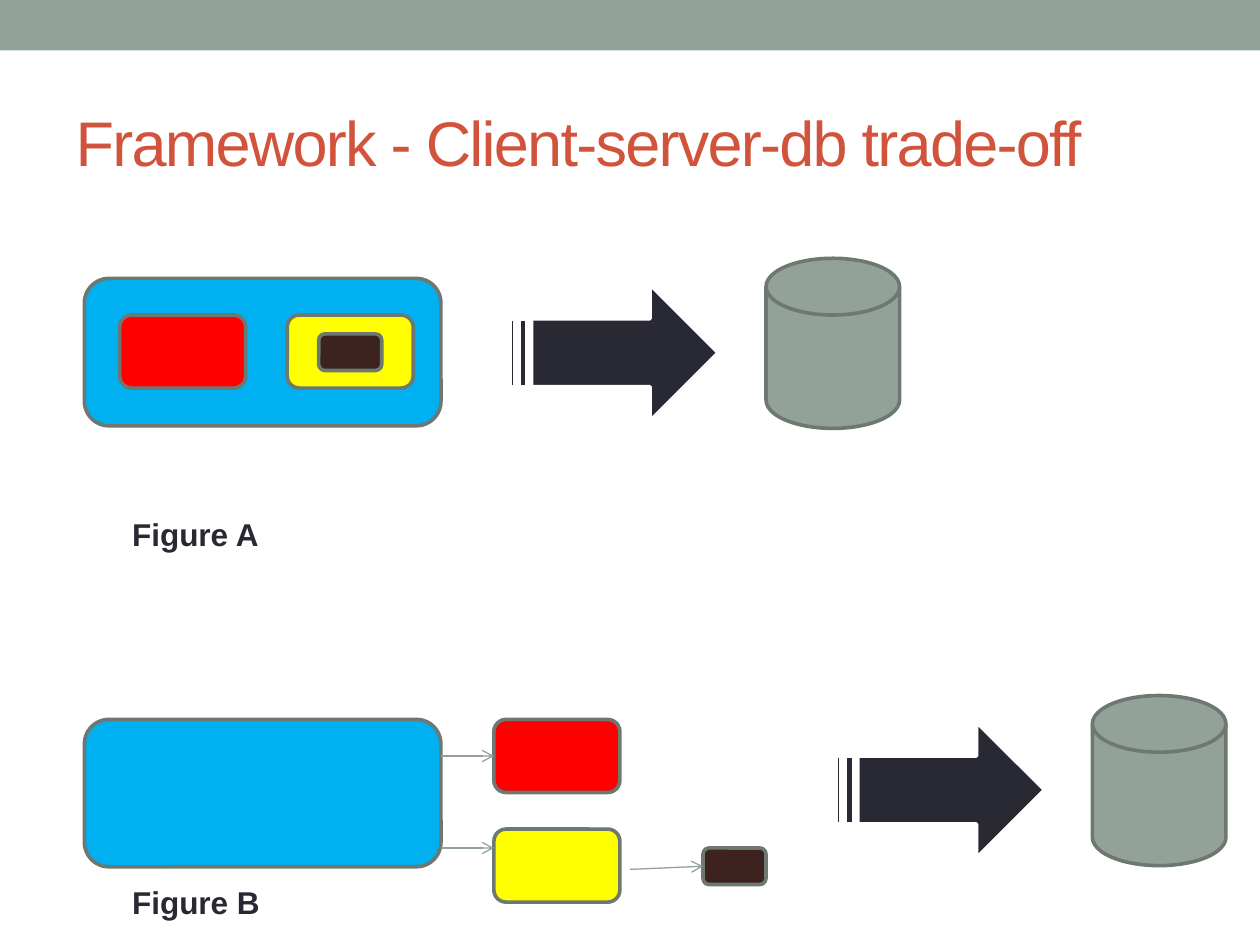
import pptx
import pptx.dml.color
import pptx.enum.shapes
import pptx.enum.text
import pptx.oxml.ns
import pptx.util
from lxml import etree

Inches = pptx.util.Inches
Kind = pptx.enum.shapes.MSO_SHAPE
Anchor = pptx.enum.text.MSO_ANCHOR
LEFT = pptx.enum.text.PP_ALIGN.LEFT

SAGE, SAGE_DARK, INK, WHITE = "93A299", "6D7871", "292934", "FFFFFF"
BLOCKS = {
    "system": ("00B0F0", 2.83, 1.17),
    "red": ("FF0000", 1, 0.58),
    "yellow": ("FFFF00", 1, 0.58),
    "brown": ("3C231F", 0.5, 0.29),
}


def colour(value):
    """Turn a hex string into a colour."""
    return pptx.dml.color.RGBColor.from_string(value)


def set_all(target, values):
    """Set every attribute named in a dict."""
    for name, value in values.items():
        setattr(target, name, value)


def place(box, left, top, width, height):
    """Position a shape, in inches."""
    set_all(box, {"left": Inches(left), "top": Inches(top),
                  "width": Inches(width), "height": Inches(height)})


def write(box, text, size, ink, anchor, bold=False):
    """Write one left-aligned line and return its span."""
    set_all(box.text_frame, {"word_wrap": True, "vertical_anchor": anchor})
    para = box.text_frame.paragraphs[0]
    para.alignment = LEFT
    span = para.add_run()
    span.text = text
    set_all(span.font, {"name": "Arial", "size": pptx.util.Pt(size), "bold": bold})
    span.font.color.rgb = colour(ink)
    return span


def add_title(page, text):
    """Fill the title placeholder with tightened letters."""
    place(page.shapes.title, 0.5, 0.58, 9, 1.08)
    span = write(page.shapes.title, text, 36, "D2533C", Anchor.MIDDLE)
    span.font._element.set("spc", "-100")


def add_label(page, text, top):
    """Add a bold figure label."""
    box = page.shapes.add_textbox(Inches(0.95), Inches(top), Inches(2.38), Inches(0.4))
    write(box, text, 18, INK, Anchor.TOP, bold=True)


def add_shape(page, kind, left, top, width, height, fill, edge=SAGE_DARK):
    """Add a filled shape, outlined unless edge is None."""
    box = page.shapes.add_shape(kind, 0, 0, 0, 0)
    place(box, left, top, width, height)
    box.shadow.inherit = False
    box.fill.solid()
    box.fill.fore_color.rgb = colour(fill)
    if edge is None:
        box.line.fill.background()
    else:
        box.line.color.rgb = colour(edge)
        box.line.width = pptx.util.Pt(2.08)
    return box


def add_block(page, name, left, top):
    """Add one of the rounded component blocks."""
    fill, width, height = BLOCKS[name]
    return add_shape(page, Kind.ROUNDED_RECTANGLE, left, top, width, height, fill)


def add_database(page, arrow_left, arrow_top, disk_left, disk_top):
    """Add a striped arrow and the database it leads to."""
    add_shape(page, Kind.STRIPED_RIGHT_ARROW, arrow_left, arrow_top, 1.65, 1.08, INK, WHITE)
    add_shape(page, Kind.FLOWCHART_MAGNETIC_DISK, disk_left, disk_top, 1.06, 1.35, SAGE)


def add_arrow(page, start, end, target=None):
    """Add a thin arrow, joined to the left side of a target if given."""
    line = page.shapes.add_connector(
        pptx.enum.shapes.MSO_CONNECTOR.STRAIGHT, *map(Inches, start + end))
    if target is not None:
        line.end_connect(target, 1)
    line.line.color.rgb = colour(SAGE)
    line.line.width = pptx.util.Pt(0.75)
    qn = pptx.oxml.ns.qn
    etree.SubElement(line.line._get_or_add_ln(), qn("a:tailEnd"), type="arrow")
    etree.SubElement(line._element.spPr, qn("a:effectLst"))


def add_figure_a(page):
    """Draw the system with its components inside."""
    add_label(page, "Figure A", 4.04)
    add_block(page, "system", 0.67, 2.21)
    add_block(page, "red", 0.95, 2.5)
    add_block(page, "yellow", 2.28, 2.5)
    add_block(page, "brown", 2.53, 2.65)
    add_database(page, 4.05, 2.26, 6.08, 2.05)


def add_figure_b(page):
    """Draw the system with its components split out."""
    add_block(page, "system", 0.67, 5.71)
    red = add_block(page, "red", 3.92, 5.71)
    add_block(page, "yellow", 3.92, 6.58)
    brown = add_block(page, "brown", 5.58, 6.73)
    add_arrow(page, (3.5, 6), (3.92, 6), red)
    add_arrow(page, (3.5, 6.73), (3.92, 6.73))
    add_arrow(page, (5, 6.9), (5.58, 6.88), brown)
    add_database(page, 6.64, 5.73, 8.67, 5.52)
    add_label(page, "Figure B", 6.96)


def main():
    """Build the slide and save it."""
    deck = pptx.Presentation()
    set_all(deck, {"slide_width": Inches(10), "slide_height": Inches(7.5)})
    page = deck.slides.add_slide(deck.slide_layouts[5])
    add_shape(page, Kind.RECTANGLE, 0, 0, 10, 0.4, SAGE, None)
    add_title(page, "Framework - Client-server-db trade-off")
    add_figure_a(page)
    add_figure_b(page)
    deck.save("out.pptx")


if __name__ == "__main__":
    main()
